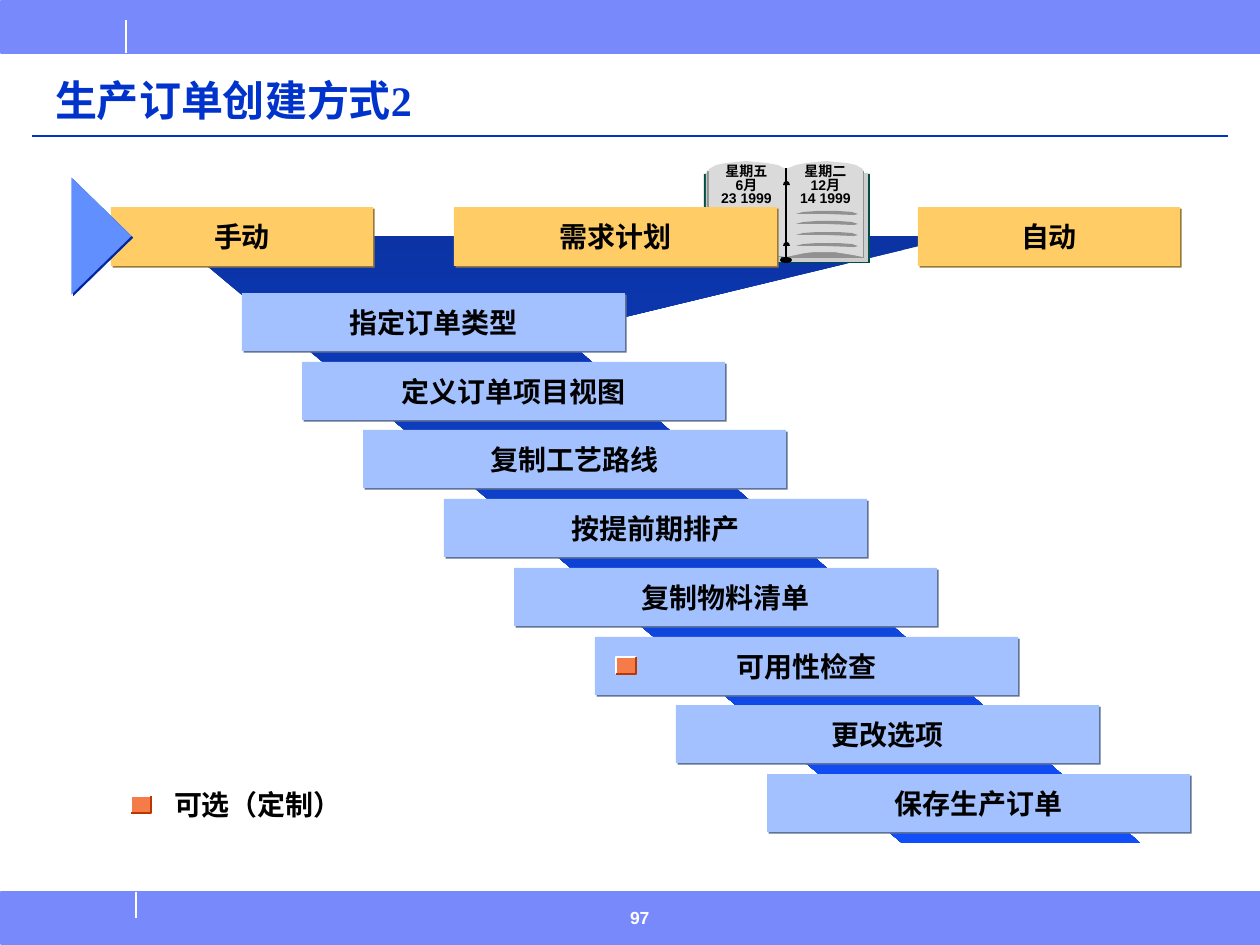
from lxml.etree import SubElement
from pptx import Presentation
from pptx.dml.color import RGBColor
from pptx.enum.shapes import MSO_CONNECTOR, MSO_SHAPE as Shape
from pptx.enum.text import MSO_ANCHOR as Anchor, MSO_AUTO_SIZE, PP_ALIGN as Align
from pptx.oxml.ns import qn
from pptx.util import Emu, Pt

PX = 914400 / 126
WHITE, BLACK = RGBColor(255, 255, 255), RGBColor(0, 0, 0)
BAR, TITLE_BLUE = RGBColor(0x78, 0x89, 0xFB), RGBColor(0x00, 0x33, 0xCC)
FLOW_DARK, FLOW_BRIGHT = RGBColor(0x0B, 0x33, 0xA4), RGBColor(0x11, 0x4F, 0xFB)
STEP, STEP_SHADOW = RGBColor(0xA2, 0xC1, 0xFE), RGBColor(0x60, 0x73, 0x97)
SOURCE, SOURCE_SHADOW = RGBColor(0xFF, 0xCC, 0x66), RGBColor(0x98, 0x79, 0x3C)
ARROW, ARROW_SHADOW = RGBColor(0x61, 0x8F, 0xFD), RGBColor(0x00, 0x27, 0x9F)
COVER, SHEET = RGBColor(0x00, 0x4E, 0x47), RGBColor(0xCE, 0xCE, 0xCE)
PAPER, GREY = RGBColor(0xDA, 0xDA, 0xDA), RGBColor(0x91, 0x91, 0x91)
MARK, MARK_EDGE = RGBColor(0xF5, 0x7B, 0x49), RGBColor(0xBC, 0x37, 0x00)

STEPS = [("指定订单类型", 242, 383), ("定义订单项目视图", 302, 423),
         ("复制工艺路线", 363, 423), ("按提前期排产", 444, 423),
         ("复制物料清单", 514, 423), ("可用性检查", 595, 423),
         ("更改选项", 676, 423), ("保存生产订单", 767, 423)]
FLOW = [(171, 236), (902, 843), (1140, 843), (559, 333), (961, 236)]
PAGES = [(709, 257), (709, 169), (716, 165), (726, 163), (746, 161), (767, 163),
         (778, 165), (786, 169), (796, 165), (806, 163), (826, 161), (847, 163),
         (856, 165), (863, 169), (863, 257), (853, 255), (834, 252), (815, 252),
         (805, 253), (786, 257), (766, 254), (745, 253), (726, 254)]
TEXT_LINE = [(0, 3), (7, 1), (21, 0), (42, 0), (56, 1), (62, 3), (58, 4), (31, 3)]
RING = [(0, 4), (1, 1), (4, 0), (6, 1), (7, 4)]


def px(length):
    return Emu(round(length * PX))


def shift(points, left, top):
    return [(left + x, top + y) for x, y in points]


class SlideBuilder:
    font = "Arial"

    def __init__(self, slide):
        self.slide = slide
        self.shapes = slide.shapes

    def paint(self, shape, fill=None, line=None):
        shape.shadow.inherit = False
        if fill is None:
            shape.fill.background()
        else:
            shape.fill.solid()
            shape.fill.fore_color.rgb = fill
        if line is None:
            shape.line.fill.background()
        else:
            shape.line.color.rgb = line
            shape.line.width = Pt(1)
        return shape

    def block(self, left, top, width, height, fill, kind=Shape.RECTANGLE, line=None):
        shape = self.shapes.add_shape(kind, px(left), px(top), px(width), px(height))
        return self.paint(shape, fill, line)

    def outline(self, points, fill=None, line=None, close=True):
        points = [(px(x), px(y)) for x, y in points]
        builder = self.shapes.build_freeform(*points[0], scale=1.0)
        builder.add_line_segments(points[1:], close=close)
        return self.paint(builder.convert_to_shape(), fill, line)

    def line(self, x1, y1, x2, y2, color):
        line = self.shapes.add_connector(
            MSO_CONNECTOR.STRAIGHT, px(x1), px(y1), px(x2), px(y2))
        line.line.color.rgb = color
        line.line.width = Pt(1)
        SubElement(line._element.spPr, qn("a:effectLst"))

    def drop_shadow(self, shape, color):
        """Give the shape a hard shadow towards the lower right."""
        effects = shape._element.spPr.find(qn("a:effectLst"))
        shadow = SubElement(effects, qn("a:outerShdw"), dist="17780",
                            dir="2700000", algn="ctr", rotWithShape="0")
        SubElement(shadow, qn("a:srgbClr"), val=str(color))

    def set_text(self, shape, text, size, color=BLACK, align=Align.LEFT, anchor=Anchor.TOP,
                 font=None, spacing=1.0, wrap=False, margins=(13, 6)):
        frame = shape.text_frame
        frame.text = text
        frame.word_wrap = wrap
        frame.auto_size = MSO_AUTO_SIZE.NONE
        frame.vertical_anchor = anchor
        frame.margin_left = frame.margin_right = px(margins[0])
        frame.margin_top = frame.margin_bottom = px(margins[1])
        for para in frame.paragraphs:
            para.alignment = align
            para.line_spacing = spacing
            para.font.size = Pt(size)
            for span in para.runs:
                span.font.name = font or self.font
                span.font.size = Pt(size)
                span.font.bold = True
                span.font.color.rgb = color

    def text(self, left, top, width, height, text, size, **style):
        box = self.shapes.add_textbox(px(left), px(top), px(width), px(height))
        self.set_text(box, text, size, **style)

    def title(self, left, top, width, height, text):
        box = self.shapes.title
        box.left, box.top, box.width, box.height = map(px, (left, top, width, height))
        self.set_text(box, text, 24, color=TITLE_BLUE, anchor=Anchor.BOTTOM,
                      font="Times New Roman", spacing=0.9, wrap=True)

    def card(self, left, top, width, height, text, fill, shadow):
        box = self.block(left, top, width, height, fill)
        self.drop_shadow(box, shadow)
        self.set_text(box, text, 16, align=Align.CENTER, anchor=Anchor.MIDDLE,
                      margins=(10, 5))

    def source(self, left, width, text):
        self.card(left, 207, width, 59, text, SOURCE, SOURCE_SHADOW)

    def marker(self, left, top):
        """Draw a small bevelled square."""
        right, bottom = left + 20, top + 17
        self.block(left, top, 20, 17, MARK)
        self.outline([(right, top), (left, top), (left, bottom)], line=WHITE, close=False)
        self.outline([(left, bottom), (right, bottom), (right, top)],
                     line=MARK_EDGE, close=False)

    def calendar(self):
        """Draw the open book with its two dates."""
        for left, top, width, height, fill in [
                (704, 174, 166, 89, COVER), (706, 173, 75, 89, SHEET),
                (791, 173, 77, 89, SHEET), (707, 171, 77, 86, GREY),
                (786, 171, 78, 87, GREY)]:
            self.block(left, top, width, height, fill)
        self.outline(PAGES, PAPER)
        self.block(780, 257, 12, 6, BLACK, Shape.OVAL)
        for left in (716, 796):
            for row in range(4):
                self.outline(shift(TEXT_LINE, left, 211 + round(10.5 * row)), GREY)
        for top in (181, 242):
            self.outline(shift(RING, 783, top), BLACK)
        self.line(786, 257, 786, 168, BLACK)
        for left, date in [(709, "星期五\v6月\v23 1999"), (788, "星期二\v12月\v14 1999")]:
            self.text(left, 160, 75, 53, date, 8, align=Align.CENTER, spacing=0.8)


def main():
    deck = Presentation()
    deck.slide_width, deck.slide_height = px(1260), px(945)
    page = SlideBuilder(deck.slides.add_slide(deck.slide_layouts[5]))

    for top in (1, 892):
        page.block(1, top, 1259, 52, BAR, line=BAR)
    page.line(126, 20, 126, 53, WHITE)
    page.line(136, 892, 136, 918, WHITE)
    page.line(32, 136, 1228, 136, TITLE_BLUE)
    page.title(42, 63, 1157, 69, "生产订单创建方式2")

    flow = page.outline(FLOW, FLOW_DARK)
    flow.fill.gradient()
    flow.fill.gradient_angle = 270
    for stop, color in zip(flow.fill.gradient_stops, (FLOW_DARK, FLOW_BRIGHT)):
        stop.color.rgb = color

    for row, (label, left, width) in enumerate(STEPS):
        page.card(left, 293 + round(68.7 * row), width, 58, label, STEP, STEP_SHADOW)

    page.calendar()
    page.source(454, 323, "需求计划")
    page.source(111, 262, "手动")
    page.source(918, 262, "自动")
    arrow = page.block(43, 206, 117, 60, ARROW, Shape.ISOSCELES_TRIANGLE)
    arrow.rotation = 90
    page.drop_shadow(arrow, ARROW_SHADOW)

    page.marker(131, 796)
    page.marker(616, 657)
    page.text(174, 788, 168, 34, "可选（定制）", 16, margins=(0, 0))
    page.text(617, 901, 105, 44, "97", 10, color=WHITE, wrap=True)
    deck.save("out.pptx")


if __name__ == "__main__":
    main()
